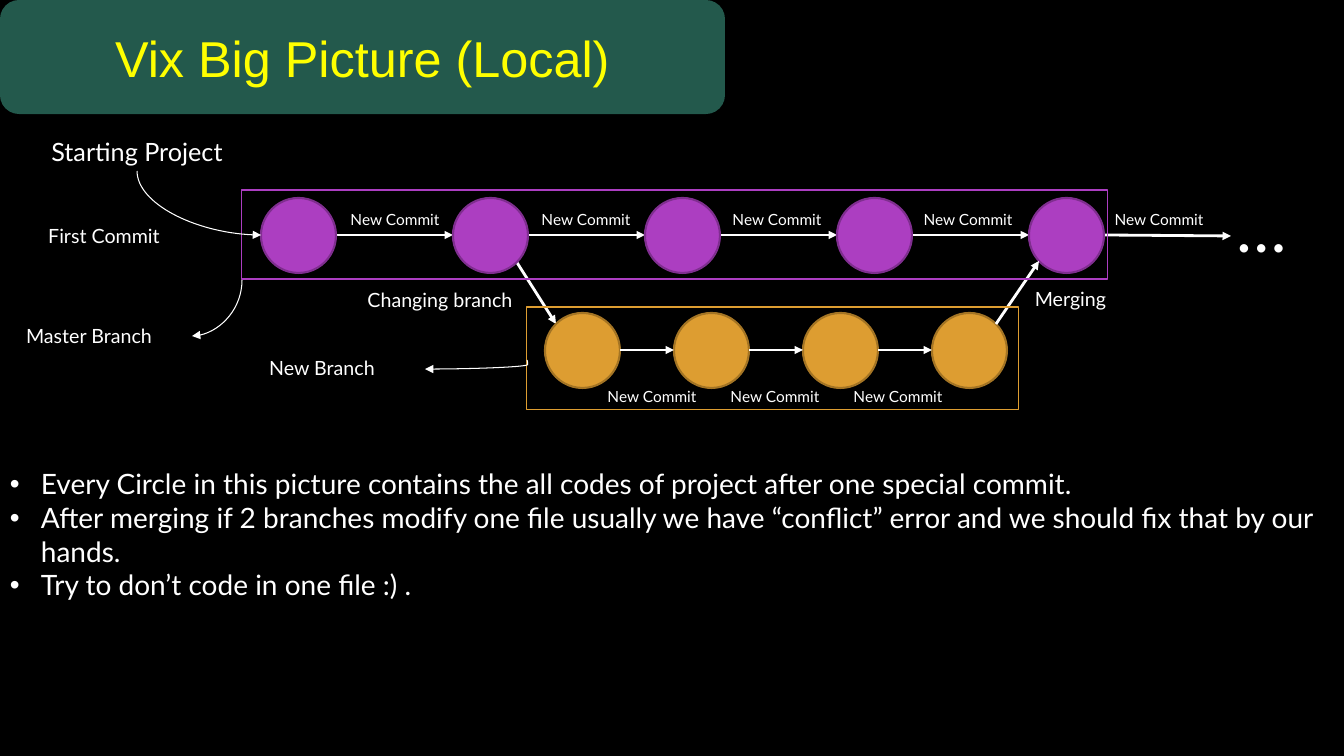
from lxml.etree import SubElement
from pptx import Presentation
from pptx.dml.color import RGBColor
from pptx.enum.shapes import MSO_CONNECTOR as CONNECTOR, MSO_SHAPE as SHAPE
from pptx.enum.text import MSO_ANCHOR as ANCHOR, MSO_AUTO_SIZE as AUTO_SIZE, PP_ALIGN as ALIGN
from pptx.oxml.ns import qn
from pptx.util import Pt

EMU_PER_PX = 12192000 / 1344
COLORS = {
    "background": "000000",
    "text": "FFFFFF",
    "title": "FFFF00",
    "banner": "46B298",
    "master": "AC3EC1",
    "master_edge": "7F2E8F",
    "branch": "DD9D31",
    "branch_edge": "A37424",
}
DIAMETER = 75
MASTER_TOP, MASTER_Y = 198, 235
BRANCH_TOP, BRANCH_Y = 313, 350
MASTER_LEFTS = range(261, 1030, 192)
BRANCH_LEFTS = range(545, 933, 129)
BULLETS = [
    "Every Circle in this picture contains the all codes of project after one special commit.",
    "After merging if 2 branches modify one file usually we have “conflict” error "
    "and we should fix that by our hands.",
    "Try to don’t code in one file :) .",
]


def px(*values):
    return [round(value * EMU_PER_PX) for value in values]


def rgb(name):
    return RGBColor.from_string(COLORS[name])


class Diagram:
    font = "Lato"

    def __init__(self, slide):
        self.slide = slide
        background = slide.background.fill
        background.solid()
        background.fore_color.rgb = rgb("background")

    def style_text(self, paragraph, size, color="text", font=None):
        for run in paragraph.runs:
            run.font.size = Pt(size)
            run.font.name = font or self.font
            run.font.color.rgb = rgb(color)

    def shape(self, kind, box, fill=None, edge=None, width=1.5):
        shape = self.slide.shapes.add_shape(kind, *px(*box))
        shape.shadow.inherit = False
        if fill:
            shape.fill.solid()
            shape.fill.fore_color.rgb = rgb(fill)
        else:
            shape.fill.background()
        if edge:
            shape.line.color.rgb = rgb(edge)
            shape.line.width = Pt(width)
        else:
            shape.line.fill.background()
        return shape

    def banner(self, box, title):
        shape = self.shape(SHAPE.ROUNDED_RECTANGLE, box, "banner")
        color = shape.fill._xPr.find(f"{qn('a:solidFill')}/{qn('a:srgbClr')}")
        SubElement(color, qn("a:alpha"), val="50000")
        frame = shape.text_frame
        frame.text = title
        frame.vertical_anchor = ANCHOR.MIDDLE
        frame.paragraphs[0].alignment = ALIGN.CENTER
        self.style_text(frame.paragraphs[0], 36, "title", "Arial")

    def commits(self, lefts, top, color):
        for left in lefts:
            self.shape(SHAPE.OVAL, (left, top, DIAMETER, DIAMETER), color, color + "_edge")

    def text(self, box, text, size):
        frame = self.slide.shapes.add_textbox(*px(*box)).text_frame
        frame.word_wrap = True
        frame.auto_size = AUTO_SIZE.SHAPE_TO_FIT_TEXT
        frame.text = text
        for paragraph in frame.paragraphs:
            self.style_text(paragraph, size)
        return frame

    def label(self, box, text, size):
        self.text(box, text, size).paragraphs[0].alignment = ALIGN.CENTER

    def bullets(self, box, items, size):
        indent, = px(31)
        for paragraph in self.text(box, "\n".join(items), size).paragraphs:
            properties = paragraph._p.get_or_add_pPr()
            properties.set("marL", str(indent))
            properties.set("indent", str(-indent))
            SubElement(properties, qn("a:buFont"), typeface="Arial")
            SubElement(properties, qn("a:buChar"), char="•")

    def arrow(self, start, end, width=2, kind=CONNECTOR.STRAIGHT):
        connector = self.slide.shapes.add_connector(kind, *px(*start, *end))
        connector.line.color.rgb = rgb("text")
        connector.line.width = Pt(width)
        SubElement(connector.line._get_or_add_ln(), qn("a:tailEnd"), type="triangle")
        SubElement(connector._element.spPr, qn("a:effectLst"))
        return connector

    def row_arrows(self, lefts, y):
        """Join each commit of a row to the next one."""
        for left, following in zip(lefts, lefts[1:]):
            self.arrow((left + DIAMETER, y), (following, y))

    def curve(self, box, preset, rotation, flip=None, adjustment=None):
        """Draw a curved arrow; box is its frame before rotation."""
        left, top, width, height = box
        connector = self.arrow((left, top), (left + width, top + height), 0.75, CONNECTOR.CURVE)
        properties = connector._element.spPr
        frame = properties.find(qn("a:xfrm"))
        frame.set("rot", str(rotation * 60000))
        if flip:
            frame.set(flip, "1")
        geometry = properties.find(qn("a:prstGeom"))
        geometry.set("prst", preset)
        if adjustment is not None:
            guides = geometry.find(qn("a:avLst"))
            SubElement(guides, qn("a:gd"), name="adj1", fmla=f"val {adjustment}")


def main():
    presentation = Presentation()
    presentation.slide_width, presentation.slide_height = px(1344, 756)
    diagram = Diagram(presentation.slides.add_slide(presentation.slide_layouts[6]))

    diagram.banner((0, 0, 725, 114), "Vix Big Picture (Local)")

    diagram.row_arrows(MASTER_LEFTS, MASTER_Y)
    diagram.arrow((MASTER_LEFTS[-1] + DIAMETER, MASTER_Y), (1231, 236))
    diagram.arrow((516, 261), (556, 324))
    diagram.commits(MASTER_LEFTS, MASTER_TOP, "master")
    diagram.commits(BRANCH_LEFTS, BRANCH_TOP, "branch")
    diagram.row_arrows(BRANCH_LEFTS, BRANCH_Y)
    diagram.arrow((996, 324), (1039, 261))

    commit_labels = [(left, 205) for left in range(333, 1100, 191)]
    commit_labels += [(left, 382) for left in range(590, 837, 123)]
    for left, top in commit_labels:
        diagram.label((left, top, 124, 29), "New Commit", 11)

    diagram.label((18, 131, 238, 40), "Starting Project", 18)
    diagram.label((1191, 180, 141, 92), "…", 48)
    for left, top, width, text in [
        (0, 219, 208, "First Commit"),
        (336, 283, 208, "Changing branch"),
        (1002, 282, 137, "Merging"),
        (-15, 319, 208, "Master Branch"),
        (218, 351, 208, "New Branch"),
    ]:
        diagram.label((left, top, width, 34), text, 14)

    diagram.bullets((0, 462, 1344, 146), BULLETS, 20)

    diagram.shape(SHAPE.RECTANGLE, (242, 190, 866, 89), edge="master", width=0.75)
    diagram.shape(SHAPE.RECTANGLE, (527, 307, 492, 103), edge="branch", width=0.75)
    diagram.curve((167, 141, 64, 124), "curvedConnector2", 270, "flipH")
    diagram.curve((189, 283, 56, 50), "curvedConnector2", 90)
    diagram.curve((425, 360, 102, 9), "curvedConnector3", 180, "flipV", -700)

    presentation.save("out.pptx")


if __name__ == "__main__":
    main()
